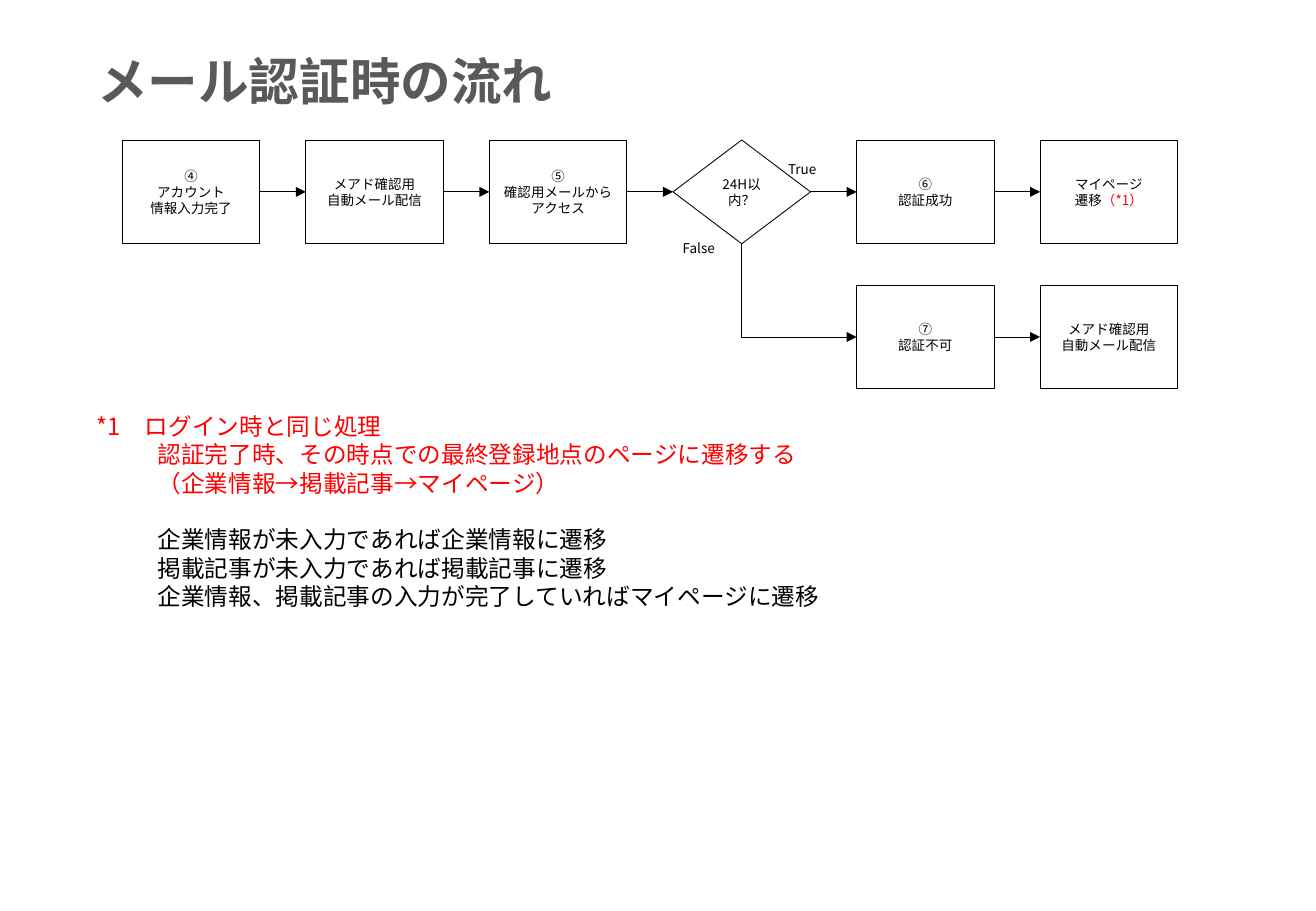
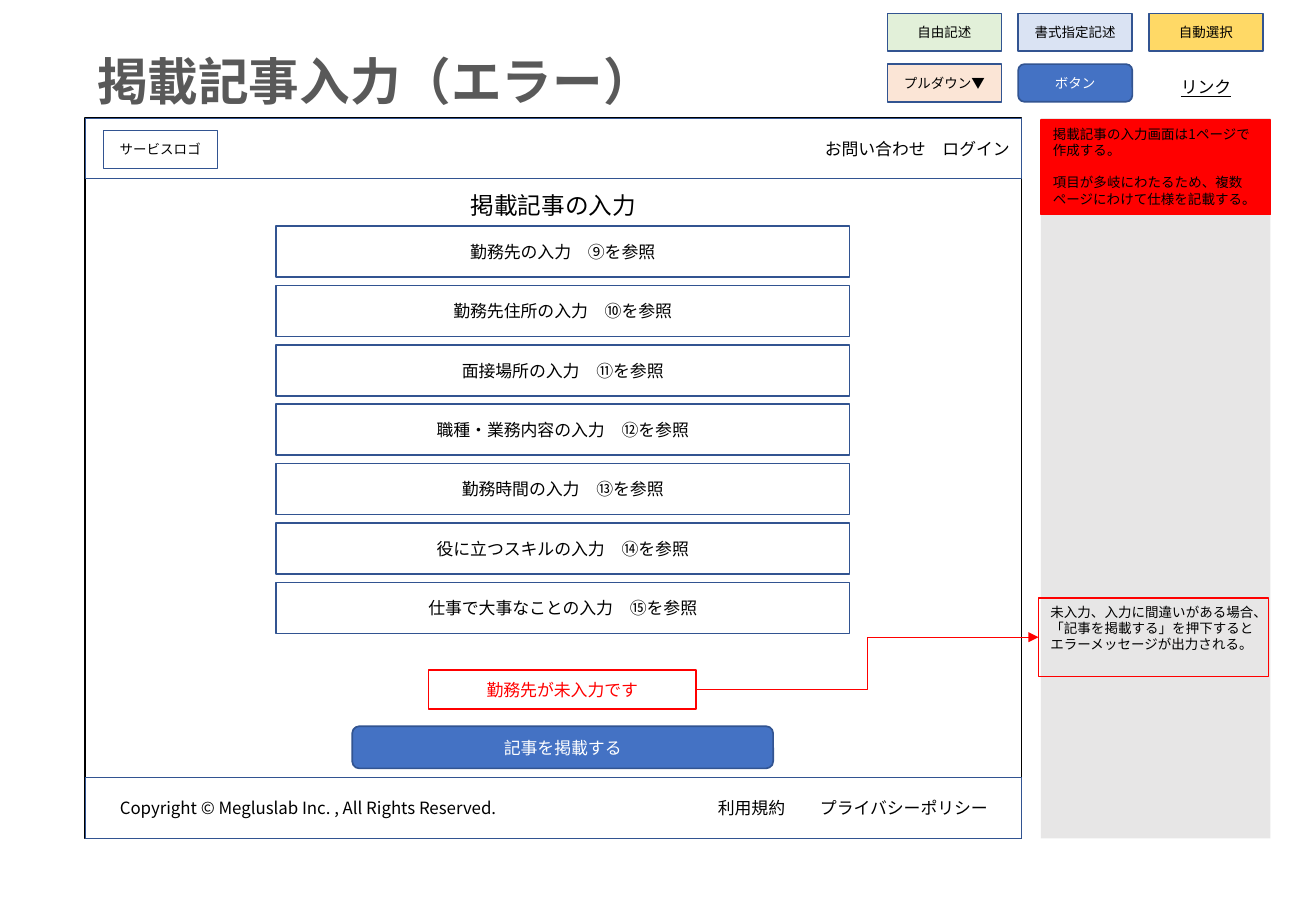
from lxml import etree
from pptx import Presentation
from pptx.dml.color import RGBColor
from pptx.enum.shapes import MSO_CONNECTOR, MSO_SHAPE
from pptx.enum.text import MSO_ANCHOR, MSO_AUTO_SIZE, PP_ALIGN
from pptx.oxml.ns import qn
from pptx.util import Pt

RECT, ROUND = MSO_SHAPE.RECTANGLE, MSO_SHAPE.ROUNDED_RECTANGLE
DIAMOND = MSO_SHAPE.FLOWCHART_DECISION
STRAIGHT, ELBOW = MSO_CONNECTOR.STRAIGHT, MSO_CONNECTOR.ELBOW
LEFT, CENTER, RIGHT = PP_ALIGN.LEFT, PP_ALIGN.CENTER, PP_ALIGN.RIGHT
TOP, MIDDLE = MSO_ANCHOR.TOP, MSO_ANCHOR.MIDDLE

FONT = "Noto Sans CJK JP"
BLACK, WHITE, RED = "000000", "FFFFFF", "FF0000"
GREY, PALE = "595959", "E7E6E6"
BLUE, NAVY = "4472C4", "325491"


def rgb(color):
    return RGBColor.from_string(color)


def style(para, size, color=BLACK, align=LEFT, bold=False, line=False):
    """Format a paragraph, for Latin and East Asian text alike."""
    para.alignment = align
    font = para.font
    font.size, font.bold, font.underline = Pt(size), bold, line
    font.color.rgb = rgb(color)
    font.name = FONT
    latin = para._p.pPr.find(qn("a:defRPr")).find(qn("a:latin"))
    east = etree.Element(qn("a:ea"), typeface=FONT)
    latin.addnext(east)


def write(frame, lines, size, anchor=TOP, **look):
    frame.word_wrap = True
    frame.vertical_anchor = anchor
    frame.text = "\n".join(lines)
    for para in frame.paragraphs:
        style(para, size, **look)
    return frame.paragraphs


def add_page(deck, title):
    slide = deck.slides.add_slide(deck.slide_layouts[5])
    head = slide.shapes.title
    head.left, head.top, head.width, head.height = map(Pt, (50.4, 26, 676, 44))
    write(head.text_frame, [title], 30, color=GREY, bold=True)
    head.text_frame.auto_size = MSO_AUTO_SIZE.NONE
    return slide


def add_text(slide, area, lines, size, **look):
    label = slide.shapes.add_textbox(*map(Pt, area))
    return write(label.text_frame, lines, size, **look)


def add_box(slide, area, lines=(), size=8, kind=RECT, fill=None, edge=NAVY,
            weight=1, anchor=MIDDLE, align=CENTER, **look):
    box = slide.shapes.add_shape(kind, *map(Pt, area))
    box.shadow.inherit = False
    if fill:
        box.fill.solid()
        box.fill.fore_color.rgb = rgb(fill)
    else:
        box.fill.background()
    if edge:
        box.line.color.rgb = rgb(edge)
        box.line.width = Pt(weight)
    else:
        box.line.fill.background()
    if lines:
        write(box.text_frame, lines, size, anchor, align=align, **look)
    return box


def join(slide, start, end, kind=STRAIGHT, side=3, color=BLACK):
    """Draw an arrow from a side of start to the left side of end."""
    link = slide.shapes.add_connector(kind, 0, 0, 0, 0)
    link.begin_connect(start, side)
    link.end_connect(end, 1)
    link.line.color.rgb = rgb(color)
    link.line.width = Pt(0.5)
    etree.SubElement(link.line._get_or_add_ln(), qn("a:tailEnd"), type="triangle")
    etree.SubElement(link._element.spPr, qn("a:effectLst"))
    return link


def turn_once(link):
    """Make an elbow go straight down, then right, with one corner."""
    mid_x = link.left + link.width // 2
    mid_y = link.top + link.height // 2
    link.width, link.height = link.height, link.width
    link.left = mid_x - link.width // 2
    link.top = mid_y - link.height // 2
    shape = link._element.spPr
    shape.find(qn("a:prstGeom")).set("prst", "bentConnector2")
    frame = shape.find(qn("a:xfrm"))
    frame.set("rot", "16200000")
    frame.set("flipH", "1")


def add_flow(deck):
    slide = add_page(deck, "メール認証時の流れ")
    notes = add_text(slide, (50.4, 240.5, 676, 126), [
        "*1　ログイン時と同じ処理",
        "認証完了時、その時点での最終登録地点のページに遷移する",
        "（企業情報→掲載記事→マイページ）",
        "企業情報が未入力であれば企業情報に遷移",
        "掲載記事が未入力であれば掲載記事に遷移",
        "企業情報、掲載記事の入力が完了していればマイページに遷移",
    ], 14)
    for para in notes[:3]:
        para.font.color.rgb = rgb(RED)
    for para in notes[1:]:
        para._p.pPr.set("marL", str(Pt(36)))
    notes[3].space_before = Pt(16.8)

    def step(col, row, lines, kind=RECT):
        area = (72.5 + 108.8 * col, 83 + 86 * row, 81.5, 61.5)
        return add_box(slide, area, lines, kind=kind, edge=BLACK, weight=0.5)

    mail = ["メアド確認用", "自動メール配信"]
    main_row = [
        step(0, 0, ["④", "アカウント", "情報入力完了"]),
        step(1, 0, mail),
        step(2, 0, ["⑤", "確認用メールから", "アクセス"]),
        step(3, 0, ["24H以内？"], DIAMOND),
        step(4, 0, ["⑥", "認証成功"]),
        step(5, 0, ["マイページ", "遷移"]),
    ]
    mark = main_row[5].text_frame.paragraphs[1].add_run()
    mark.text = "（*1）"
    mark.font.color.rgb = rgb(RED)
    fail_row = [step(4, 1, ["⑦", "認証不可"]), step(5, 1, mail)]
    for row in (main_row, fail_row):
        for start, end in zip(row, row[1:]):
            join(slide, start, end)
    turn_once(join(slide, main_row[3], fail_row[0], ELBOW, side=2))
    add_text(slide, (460, 92, 40, 17), ["True"], 8)
    add_text(slide, (397.5, 138.5, 40, 17), ["False"], 8)


def add_legend(slide):
    keys = [
        ("自由記述", "E2F0D9"), ("書式指定記述", "DAE3F3"), ("自動選択", "FFD966"),
        ("プルダウン▼", "FBE5D6"), ("ボタン", BLUE),
    ]
    for i, (name, fill) in enumerate(keys):
        row, col = divmod(i, 3)
        area = (526 + 77.5 * col, 8 + 30 * row, 67.7, 22.3)
        if fill == BLUE:
            add_box(slide, area, [name], kind=ROUND, fill=fill, color=WHITE)
        else:
            add_box(slide, area, [name], fill=fill)
    add_text(slide, (681, 42, 67.7, 19.4), ["リンク"], 10, align=CENTER, line=True)


def add_frame(slide):
    """Draw the web page's outline, header and footer."""
    x, y, w, h, bar = 50.5, 70, 555, 427, 36
    add_box(slide, (x, y, w, h), edge=BLACK)
    add_box(slide, (x, y, w, bar), ["お問い合わせ　ログイン"], 10, weight=0.5,
            align=RIGHT)
    add_box(slide, (61.2, 77.5, 67.7, 22.3), ["サービスロゴ"], weight=0.5)
    foot = add_box(slide, (x, y + h - bar, w, bar), [
        "Copyright © Megluslab Inc. , All Rights Reserved."
        "\t利用規約\tプライバシーポリシー"], 10, weight=0.5, align=LEFT)
    foot.text_frame.margin_left = Pt(20.5)
    props = foot.text_frame.paragraphs[0]._p.pPr
    tabs = etree.Element(qn("a:tabLst"))
    for stop in (354.5, 415):
        etree.SubElement(tabs, qn("a:tab"), pos=str(Pt(stop)), algn="l")
    props.find(qn("a:defRPr")).addprevious(tabs)


def add_form(deck):
    slide = add_page(deck, "掲載記事入力（エラー）")
    add_legend(slide)
    add_box(slide, (617, 70, 136, 427), fill=PALE, edge=None)
    add_frame(slide)
    add_text(slide, (50.5, 109.5, 555, 24.5), ["掲載記事の入力"], 14, align=CENTER)
    fields = [
        "勤務先の入力　⑨を参照", "勤務先住所の入力　⑩を参照",
        "面接場所の入力　⑪を参照", "職種・業務内容の入力　⑫を参照",
        "勤務時間の入力　⑬を参照", "役に立つスキルの入力　⑭を参照",
        "仕事で大事なことの入力　⑮を参照",
    ]
    for i, name in enumerate(fields):
        add_box(slide, (163.5, 134 + 35.2 * i, 340, 30.3), [name], 10)
    add_box(slide, (208.8, 430.5, 249.5, 25), ["記事を掲載する"], 10, kind=ROUND,
            fill=BLUE, color=WHITE)
    memo = add_box(slide, (617, 71.2, 136, 56), [
        "掲載記事の入力画面は1ページで作成する。",
        "項目が多岐にわたるため、複数ページにわけて仕様を記載する。",
    ], fill=RED, edge=RED, weight=0.75, anchor=TOP, align=LEFT)
    memo.text_frame.paragraphs[1].space_before = Pt(9.5)
    error = add_box(slide, (254, 397, 158.5, 23.5), ["勤務先が未入力です"], 10,
                    edge=RED, color=RED)
    note = add_box(slide, (615.5, 354.5, 136.5, 46.5), [
        "未入力、入力に間違いがある場合、「記事を掲載する」を押下すると"
        "エラーメッセージが出力される。",
    ], edge=RED, weight=0.75, anchor=TOP, align=LEFT)
    join(slide, error, note, ELBOW, color=RED)


def main():
    deck = Presentation()
    deck.slide_width, deck.slide_height = Pt(780), Pt(540)
    add_flow(deck)
    add_form(deck)
    deck.save("out.pptx")


if __name__ == "__main__":
    main()
